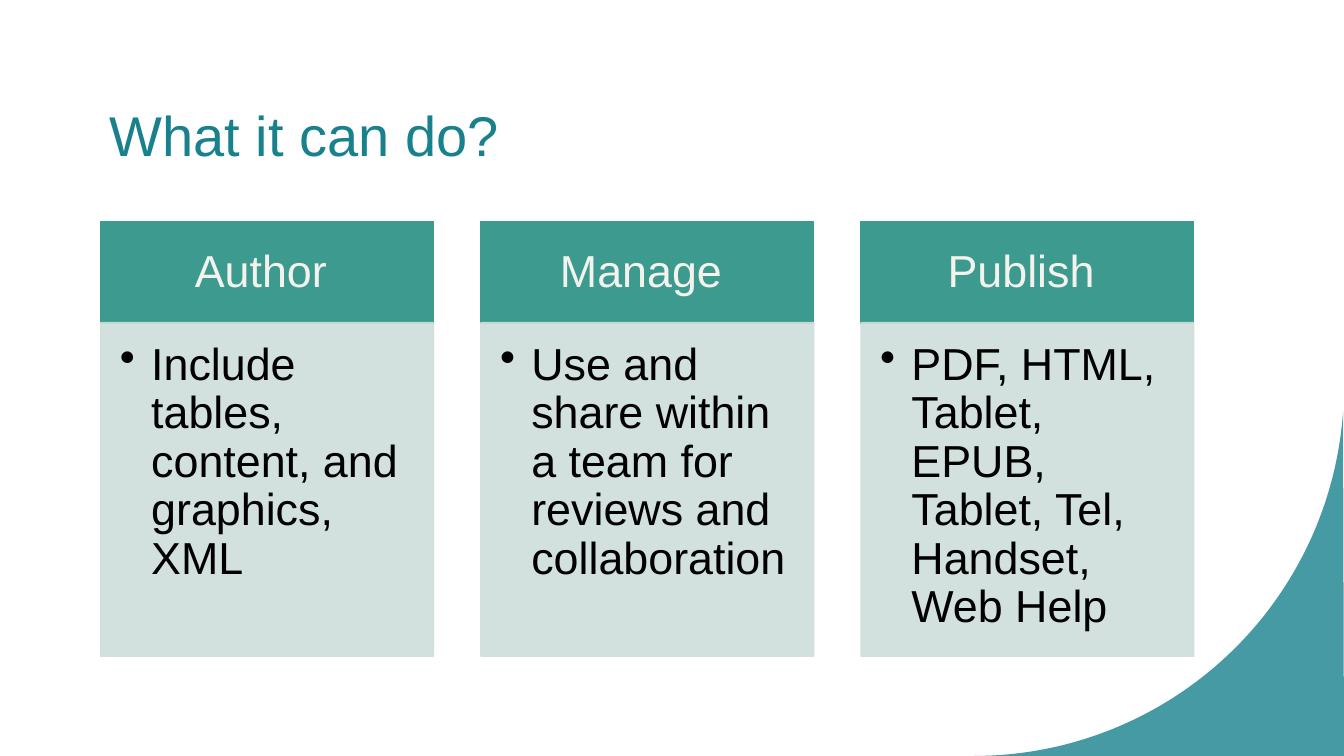
from dataclasses import dataclass
from math import cos, radians, sin

from lxml import etree
from pptx import Presentation
from pptx.dml.color import RGBColor
from pptx.enum.shapes import MSO_SHAPE
from pptx.enum.text import MSO_ANCHOR, PP_ALIGN
from pptx.oxml.ns import qn
from pptx.util import Inches, Pt

RECT = MSO_SHAPE.RECTANGLE
TOP, MIDDLE = MSO_ANCHOR.TOP, MSO_ANCHOR.MIDDLE
LEFT, CENTER = PP_ALIGN.LEFT, PP_ALIGN.CENTER


@dataclass(frozen=True)
class Theme:
    """Colours, font and type sizes of the slide."""
    teal: str = "18818C"
    header: str = "3C9A8F"
    header_text: str = "F4F2EC"
    panel: str = "CEDEDB"
    body_text: str = "000000"
    font: str = "Arial"
    title_size: int = 40
    text_size: int = 32


THEME = Theme()
WIDTH, HEIGHT = 13.33, 7.5
CARD_LEFT, CARD_STEP, CARD_WIDTH = 1, 3.77, 3.3
HEADER_TOP, HEADER_HEIGHT = 2.2, 1.01
PANEL_TOP, PANEL_HEIGHT = 3.2, 3.31
CARDS = [
    ("Author ", "Include tables, content, and graphics, XML"),
    ("Manage ", "Use and share within a team for reviews and collaboration"),
    ("Publish ", "PDF, HTML, Tablet, EPUB, Tablet, Tel, Handset, Web Help"),
]


def set_attrs(target, values):
    """Set each named value on the target."""
    for name, value in values.items():
        setattr(target, name, value)


def paint(fill, color, opacity=100):
    """Apply a solid colour with an opacity in percent."""
    fill.solid()
    fill.fore_color.rgb = RGBColor.from_string(color)
    if opacity < 100:
        clr = fill._xPr.find(qn("a:solidFill"))[0]
        etree.SubElement(clr, qn("a:alpha"), val=str(opacity * 1000))


def add_bullet(p, indent):
    """Give a paragraph a hanging round bullet."""
    pPr = p._p.get_or_add_pPr()
    pPr.set("marL", str(Inches(indent)))
    pPr.set("indent", str(-Inches(indent)))
    etree.SubElement(pPr, qn("a:buChar"), char="•")


def write(sp, text, size, color, anchor, align, insets, bullet=False):
    """Write one formatted paragraph into a shape."""
    tf = sp.text_frame
    sides = ("margin_left", "margin_top", "margin_right", "margin_bottom")
    set_attrs(tf, {"word_wrap": True, "vertical_anchor": anchor})
    set_attrs(tf, {side: Inches(n) for side, n in zip(sides, insets)})
    p = tf.paragraphs[0]
    if bullet:
        add_bullet(p, 0.31)
    set_attrs(p, {"alignment": align, "line_spacing": 0.9})
    r = p.add_run()
    r.text = text
    set_attrs(r.font, {"name": THEME.font, "size": Pt(size)})
    r.font.color.rgb = RGBColor.from_string(color)


def add_block(s, box, color, opacity=100):
    """Add a filled and outlined rectangle."""
    sp = s.shapes.add_shape(RECT, *map(Inches, box))
    sp.shadow.inherit = False
    paint(sp.fill, color, opacity)
    paint(sp.line.fill, color, opacity)
    sp.line.width = Pt(1)
    return sp


def add_card(s, left, heading, body):
    """Add a heading block above a bulleted panel."""
    header = add_block(s, (left, HEADER_TOP, CARD_WIDTH, HEADER_HEIGHT), THEME.header)
    write(header, heading, THEME.text_size, THEME.header_text, MIDDLE, CENTER,
          (0.25, 0.14, 0.25, 0.14))
    panel = add_block(s, (left, PANEL_TOP, CARD_WIDTH, PANEL_HEIGHT), THEME.panel, 90)
    write(panel, body, THEME.text_size, THEME.body_text, TOP, LEFT,
          (0.19, 0.19, 0.25, 0.28), bullet=True)


def add_corner(s, radius=3.67):
    """Add the corner shape with a concave circular edge."""
    cx, cy = WIDTH - radius, HEIGHT - radius
    arc = [(cx + radius * cos(radians(a)), cy + radius * sin(radians(a)))
           for a in range(4, 91)]
    builder = s.shapes.build_freeform(Inches(WIDTH), Inches(HEIGHT))
    builder.add_line_segments([(Inches(x), Inches(y)) for x, y in arc])
    sp = builder.convert_to_shape()
    sp.shadow.inherit = False
    paint(sp.fill, THEME.teal, 80)
    sp.line.fill.background()


def add_title(s, text):
    """Add the slide title."""
    sp = s.shapes.add_textbox(*map(Inches, (0.99, 0.65, 10.84, 1.45)))
    write(sp, text, THEME.title_size, THEME.teal, MIDDLE, LEFT, (0.1, 0.05, 0.1, 0.05))


def main():
    """Build and save the slide."""
    prs = Presentation()
    set_attrs(prs, {"slide_width": Inches(WIDTH), "slide_height": Inches(HEIGHT)})
    s = prs.slides.add_slide(prs.slide_layouts[6])
    add_corner(s)
    add_title(s, "What it can do?")
    for i, (heading, body) in enumerate(CARDS):
        add_card(s, CARD_LEFT + i * CARD_STEP, heading, body)
    prs.save("out.pptx")


if __name__ == "__main__":
    main()
